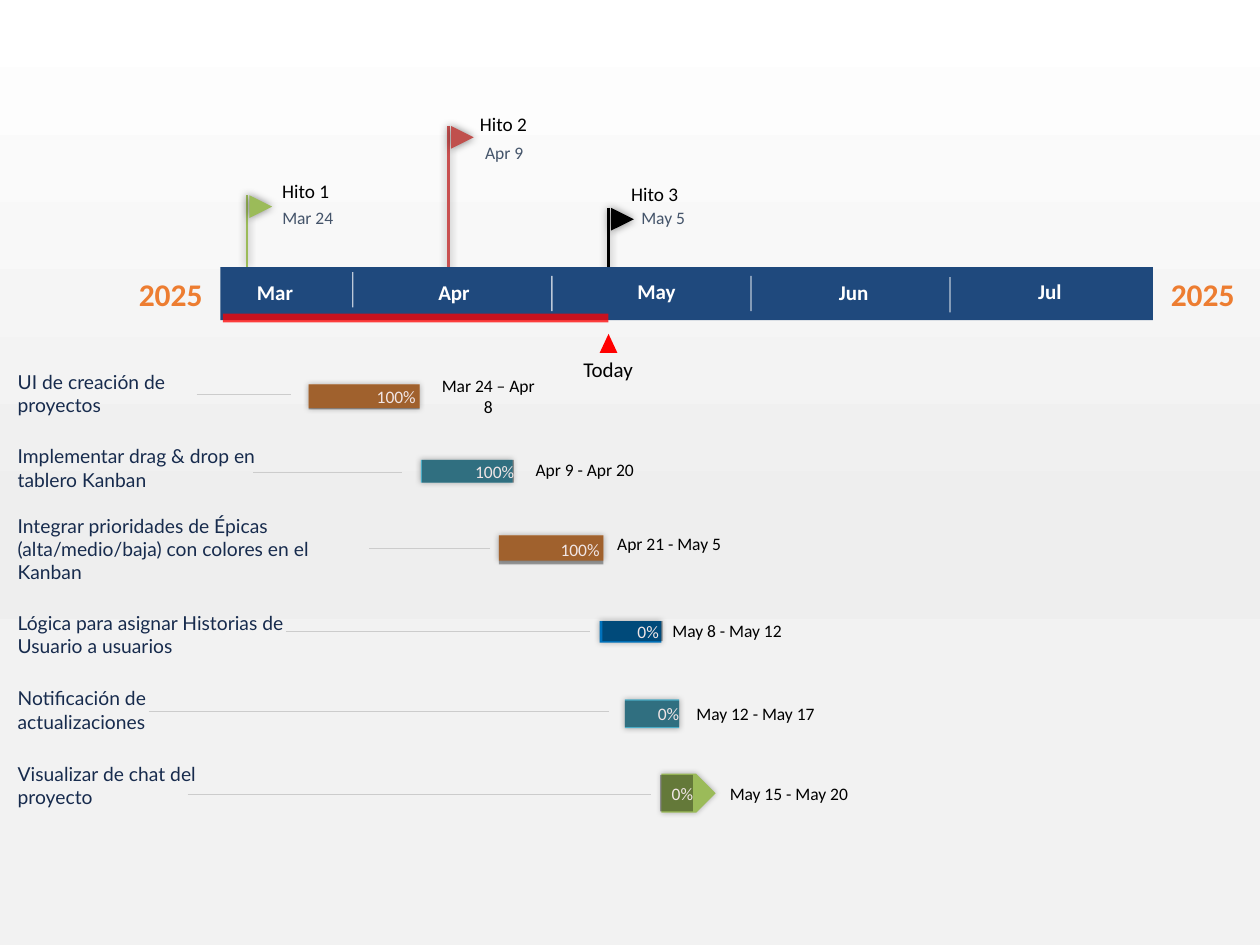
from lxml import etree
from pptx import Presentation
from pptx.dml.color import RGBColor
from pptx.enum.shapes import MSO_CONNECTOR, MSO_SHAPE
from pptx.enum.text import MSO_ANCHOR, PP_ALIGN
from pptx.oxml import parse_xml
from pptx.oxml.ns import qn
from pptx.util import Inches, Pt

RECT = MSO_SHAPE.RECTANGLE
PENTAGON = MSO_SHAPE.PENTAGON
TRIANGLE = MSO_SHAPE.ISOSCELES_TRIANGLE
FLAG = MSO_SHAPE.FLOWCHART_MERGE
STRAIGHT = MSO_CONNECTOR.STRAIGHT
TOP, MIDDLE = MSO_ANCHOR.TOP, MSO_ANCHOR.MIDDLE
LEFT, CENTER, RIGHT = PP_ALIGN.LEFT, PP_ALIGN.CENTER, PP_ALIGN.RIGHT

COLORS = {
    "white": "FFFFFF", "black": "000000", "band": "1F497D", "year": "ED7D31",
    "red": "FF0000", "guide": "CCCCCC", "date": "44546A", "label": "172B4D",
    "percent": "F1E6E6", "green": "9BBB59", "brick": "C0504D", "pole": "C85050",
    "orange": "F79646", "teal": "4BACC6", "blue": "0072BC",
}
BACKDROP = [(0, "FFFFFF"), (57, "EEEEEE"), (74, "F2F2F2"), (100, "F2F2F2")]
A_NS = "http://schemas.openxmlformats.org/drawingml/2006/main"

MONTHS = [("Mar", 1.94, 2.11), ("Apr", 3.38, 2.11), ("May", 4.96, 2.1),
          ("Jun", 6.56, 2.11), ("Jul", 8.14, 2.1)]
DIVIDER_TOPS = [2.16, 2.19, 2.19, 2.2]

# name, date, pole x, flag top, pole bottom, pole and flag colour, name and date position
MILESTONES = [
    ("Hito 1", "Mar 24", 1.96, 1.55, 2.12, "green", "green", (2.24, 1.46), (2.24, 1.64)),
    ("Hito 2", "Apr 9", 3.56, 1, 2.19, "pole", "brick", (3.81, 0.93), (3.85, 1.13)),
    ("Hito 3", "May 5", 4.83, 1.65, 2.23, "black", "black", (5.01, 1.48), (5.09, 1.64)),
]

# label, label top and width, guide (x1, x2, y), bar, colour, progress box, percent, dates, dates box
TASKS = [
    ("UI de creación de proyectos", 2.94, 1.42, (1.56, 2.31, 3.13),
     (2.45, 3.05, 0.88, 0.19), "orange", (2.45, 3.05, 0.88, 0.2), "100% ",
     "Mar 24 – Apr 8", (3.46, 3.06, 0.83, 0.17)),
    ("Implementar drag & drop en tablero Kanban", 3.53, 1.93, (2.01, 3.19, 3.75),
     (3.34, 3.65, 0.73, 0.18), "teal", (3.35, 3.65, 0.73, 0.18), "100%",
     "Apr 9 - Apr 20", (4.18, 3.64, 0.92, 0.17)),
    ("Integrar prioridades de Épicas (alta/medio/baja) con colores en el Kanban",
     4.08, 2.74, (2.93, 3.89, 4.35),
     (3.96, 4.25, 0.83, 0.2), "orange", (3.96, 4.25, 0.83, 0.23), "100% ",
     "Apr 21 - May 5", (4.85, 4.23, 0.92, 0.17)),
    ("Lógica para asignar Historias de Usuario a usuarios", 4.85, 2.14, (2.27, 4.68, 5.01),
     (4.76, 4.93, 0.49, 0.17), "blue", (4.78, 4.93, 0.48, 0.16), "0% ",
     "May 8 - May 12", (5.31, 4.92, 0.92, 0.17)),
    ("Notificación de actualizaciones", 5.45, 1.66, (1.18, 4.83, 5.64),
     (4.96, 5.55, 0.43, 0.23), "teal", (4.96, 5.56, 0.43, 0.21), "0%",
     "May 12 - May 17", (5.5, 5.58, 0.99, 0.17)),
    ("Visualizar de chat del proyecto", 6.05, 1.42, (1.49, 5.17, 6.3),
     (5.25, 6.14, 0.43, 0.31), "green", (5.24, 6.15, 0.26, 0.29), "0%",
     "May 15 - May 20", (5.77, 6.21, 0.98, 0.17)),
]


def rgb(name):
    return RGBColor.from_string(COLORS[name])


def set_alpha(color_parent, alpha):
    color = next(color_parent.iter(qn("a:srgbClr")))
    etree.SubElement(color, qn("a:alpha")).set("val", str(alpha * 1000))


def set_effect(shape, shadow=None):
    body = ""
    if shadow:
        alpha, blur = shadow
        body = (f'<a:outerShdw blurRad="{Pt(blur)}" dist="0" dir="0" algn="ctr" rotWithShape="0">'
                f'<a:srgbClr val="000000"><a:alpha val="{alpha * 1000}"/></a:srgbClr></a:outerShdw>')
    spPr = shape._element.spPr
    for old in spPr.findall(qn("a:effectLst")):
        spPr.remove(old)
    spPr.append(parse_xml(f'<a:effectLst xmlns:a="{A_NS}">{body}</a:effectLst>'))


def add_block(s, kind, box, color, alpha=None, shadow=None):
    sp = s.shapes.add_shape(kind, *map(Inches, box))
    sp.fill.solid()
    sp.fill.fore_color.rgb = rgb(color)
    sp.line.fill.background()
    if alpha:
        set_alpha(sp._element.spPr, alpha)
    set_effect(sp, shadow)
    return sp


def add_line(s, x1, y1, x2, y2, color, width, alpha=None, shadow=None):
    line = s.shapes.add_connector(STRAIGHT, *map(Inches, (x1, y1, x2, y2)))
    line.line.color.rgb = rgb(color)
    line.line.width = Pt(width)
    if alpha:
        set_alpha(line._element.spPr, alpha)
    set_effect(line, shadow)


def write(sp, text, size, color, font="Calibri", bold=False, align=LEFT,
          anchor=TOP, wrap=False, insets=(0, 0), spacing=None):
    tf = sp.text_frame
    tf.word_wrap = wrap
    tf.vertical_anchor = anchor
    tf.margin_left = tf.margin_right = Inches(insets[0])
    tf.margin_top = tf.margin_bottom = Inches(insets[1])
    p = tf.paragraphs[0]
    p.text = text
    p.alignment = align
    if spacing:
        p.line_spacing = spacing
    p.font.name = font
    p.font.size = Pt(size)
    p.font.bold = bold
    p.font.color.rgb = rgb(color)


def add_text(s, box, *args, **style):
    write(s.shapes.add_textbox(*map(Inches, box)), *args, **style)


def add_backdrop(s):
    sp = add_block(s, RECT, (0, 0, 10, 7.5), "white")
    sp.fill.gradient()
    sp.fill.gradient_angle = 270
    stops = sp._element.spPr.find(qn("a:gradFill")).find(qn("a:gsLst"))
    for stop in list(stops):
        stops.remove(stop)
    for position, color in BACKDROP:
        gs = etree.SubElement(stops, qn("a:gs"), pos=str(position * 1000))
        etree.SubElement(gs, qn("a:srgbClr"), val=color)


def add_timeline(s):
    add_block(s, RECT, (1.75, 2.12, 7.4, 0.42), "band")
    for x in (0.96, 9.15):
        add_text(s, (x, 2.18, 0.79, 0.3), "2025", 18, "year", bold=True,
                 align=CENTER, anchor=MIDDLE, insets=(0.14, 0))
    for month, x, y in MONTHS:
        add_text(s, (x, y, 0.62, 0.42), month, 12, "white", bold=True,
                 anchor=MIDDLE, wrap=True, insets=(0.1, 0.05))
    for i, y in enumerate(DIVIDER_TOPS):
        x = 2.8 + 1.58 * i
        add_line(s, x, y, x, y + 0.28, "white", 0.75, alpha=70)
    add_block(s, RECT, (1.77, 2.49, 3.06, 0.07), "red", alpha=75)
    add_block(s, TRIANGLE, (4.76, 2.65, 0.14, 0.15), "red")
    add_text(s, (4.63, 2.83, 0.4, 0.2), "Today", 12, "black")


def add_milestone(s, name, date, x, top, bottom, pole, flag, name_at, date_at):
    add_line(s, x, top, x, bottom, pole, 1.25, shadow=(50, 5))
    sp = add_block(s, FLAG, (x + 0.02, top, 0.18, 0.18), flag, shadow=(50, 5))
    sp.rotation = 270
    add_text(s, (*name_at, 0.77, 0.15), name, 11, "black", wrap=True, spacing=0.8)
    add_text(s, (*date_at, 0.41, 0.17), date, 10, "date")


def add_task(s, label, top, width, guide, bar, color, progress, percent, dates, dates_box):
    x1, x2, y = guide
    add_line(s, x1, y, x2, y, "guide", 0.1)
    kind = PENTAGON if color == "green" else RECT
    add_block(s, kind, bar, color, shadow=(30, 3.5))
    done = add_block(s, RECT, progress, "black", alpha=35)
    write(done, percent, 10, "percent", align=RIGHT, anchor=MIDDLE)
    add_text(s, (0.14, top, width, 0.56), label, 11, "label", font="Lato", wrap=True)
    add_text(s, dates_box, dates, 10, "black", align=CENTER, anchor=MIDDLE)


def main():
    prs = Presentation()
    prs.slide_width, prs.slide_height = Inches(10), Inches(7.5)
    s = prs.slides.add_slide(prs.slide_layouts[6])
    add_backdrop(s)
    for milestone in MILESTONES:
        add_milestone(s, *milestone)
    add_timeline(s)
    for task in TASKS:
        add_task(s, *task)
    prs.save("out.pptx")


if __name__ == "__main__":
    main()
